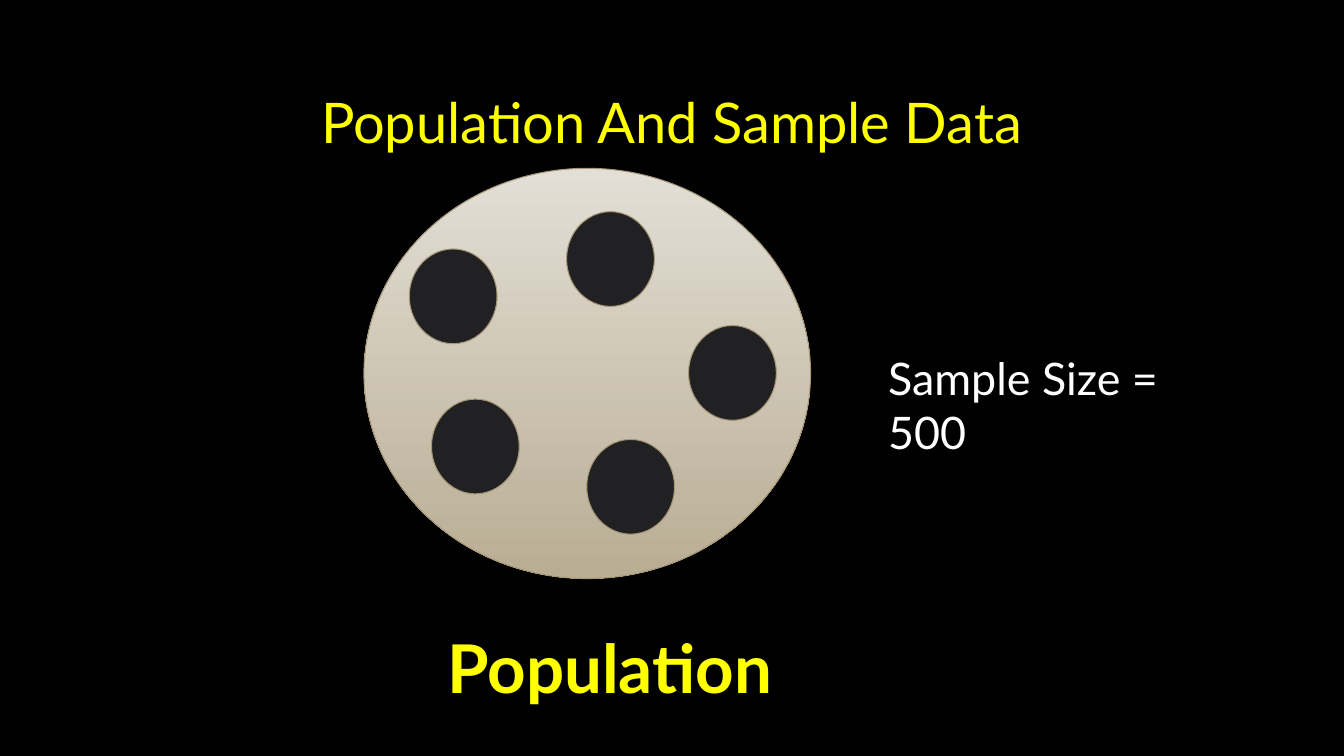
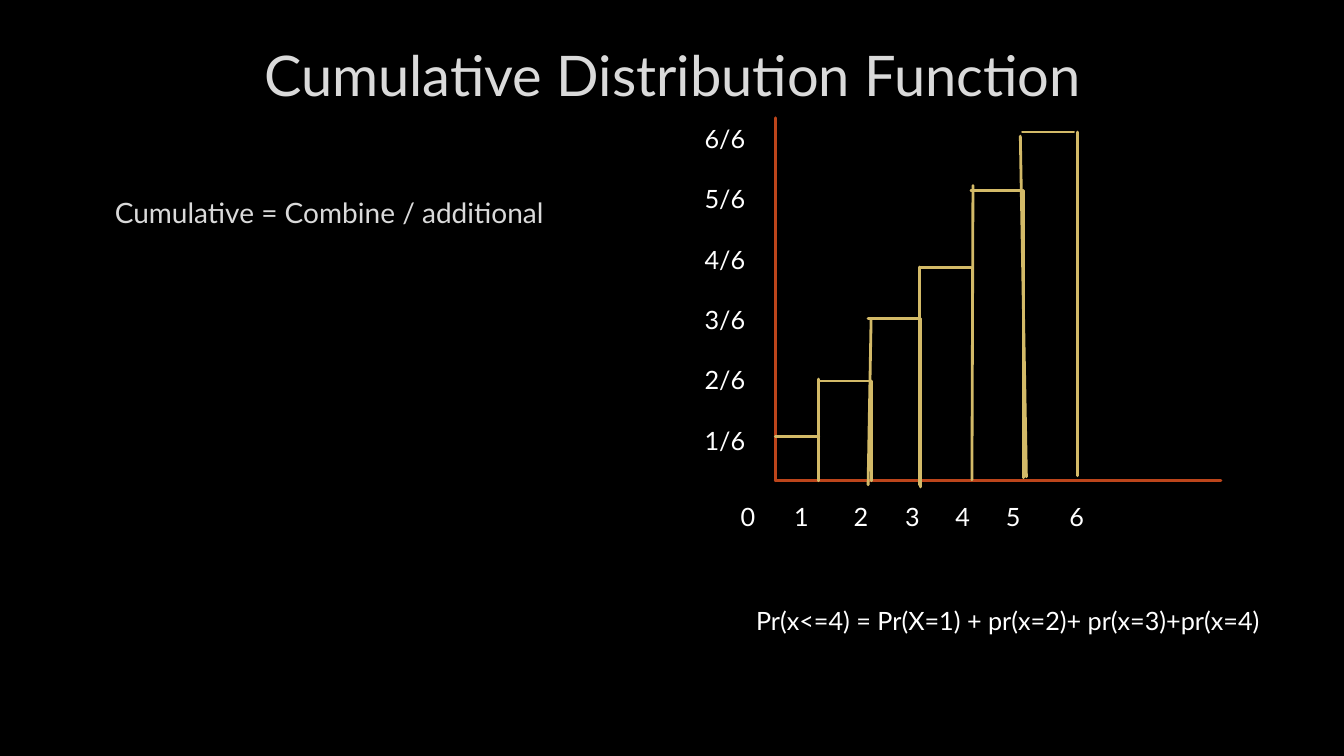
from dataclasses import dataclass
from typing import NamedTuple

from lxml.etree import SubElement
from pptx import Presentation
from pptx.dml.color import RGBColor
from pptx.enum.shapes import MSO_CONNECTOR, MSO_SHAPE
from pptx.enum.text import MSO_ANCHOR, PP_ALIGN
from pptx.oxml.ns import qn
from pptx.shapes.autoshape import Shape
from pptx.slide import Slide
from pptx.util import Emu, Inches, Pt

COLUMNS, ROWS = 13.33, 7.5
CELL = Inches(1)
FONT = "Lato"
COLORS = {
    "background": "000000",
    "yellow": "FFFF00",
    "white": "FFFFFF",
    "silver": "DADADA",
    "axis": "BC451B",
    "step": "D3BA68",
    "sand_light": "E3DFD6",
    "sand_dark": "B9AD94",
    "sand_line": "A59675",
    "dot": "212123",
}


class Box(NamedTuple):
    """Left and width in grid columns, top and height in grid rows."""
    left: float
    top: float
    width: float
    height: float


class Point(NamedTuple):
    column: float
    row: float


@dataclass(frozen=True)
class TextStyle:
    size: float
    color: str
    bold: bool = False
    alignment: PP_ALIGN = PP_ALIGN.LEFT
    anchor: MSO_ANCHOR = MSO_ANCHOR.TOP
    space_after: float = 0


@dataclass(frozen=True)
class Step:
    """One hand-drawn bar: its cap, the foot of its right side and its left side."""
    left: float
    right: float
    top: float
    fall: Point
    rise: tuple[Point, Point] | None = None


TITLE_SIZE = 40
LABEL = TextStyle(18, "white")
Y_LABEL = TextStyle(18, "white", space_after=21.6)

DOT_WIDTH, DOT_HEIGHT = 0.87, 0.94
DOTS = [Point(4.06, 2.47), Point(5.62, 2.1), Point(6.83, 3.23),
        Point(5.82, 4.36), Point(4.28, 3.96)]

ORIGIN = Point(7.69, 4.77)
AXIS_ENDS = [Point(7.69, 1.17), Point(12.11, 4.77)]
X_LABEL_STOPS = [0.19, 0.72, 1.31, 1.82, 2.32, 2.82, 3.45]
STEPS = [
    Step(7.69, 8.12, 4.33, Point(8.12, 4.77)),
    Step(8.12, 8.63, 3.78, Point(8.64, 4.77), (Point(8.12, 4.75), Point(8.12, 3.76))),
    Step(8.61, 9.12, 3.16, Point(9.13, 4.83), (Point(8.61, 4.81), Point(8.64, 3.16))),
    Step(9.12, 9.63, 2.65, Point(9.64, 4.74), (Point(9.12, 4.81), Point(9.12, 2.65))),
    Step(9.63, 10.14, 1.89, Point(10.15, 4.74), (Point(9.64, 4.76), Point(9.65, 1.84))),
    Step(10.14, 10.65, 1.31, Point(10.69, 4.72), (Point(10.18, 4.73), Point(10.12, 1.35))),
]


def cells(*lengths: float) -> list[Emu]:
    return [Emu(round(length * CELL)) for length in lengths]


def rgb(name: str) -> RGBColor:
    return RGBColor.from_string(COLORS[name])


def add_slide(presentation: Presentation) -> Slide:
    slide = presentation.slides.add_slide(presentation.slide_layouts[6])
    slide.background.fill.solid()
    slide.background.fill.fore_color.rgb = rgb("background")
    return slide


def add_text(slide: Slide, lines: list[str], box: Box, style: TextStyle) -> Shape:
    shape = slide.shapes.add_textbox(*cells(*box))
    frame = shape.text_frame
    frame.word_wrap = True
    frame.vertical_anchor = style.anchor
    font_values = {"name": FONT, "size": Pt(style.size), "bold": style.bold}
    for index, line in enumerate(lines):
        paragraph = frame.add_paragraph() if index else frame.paragraphs[0]
        paragraph.alignment = style.alignment
        paragraph.space_after = Pt(style.space_after)
        run = paragraph.add_run()
        run.text = line
        for attribute, value in font_values.items():
            setattr(run.font, attribute, value)
        run.font.color.rgb = rgb(style.color)
    return shape


def add_title(slide: Slide, text: str, left: float, top: float, color: str) -> None:
    style = TextStyle(TITLE_SIZE, color, alignment=PP_ALIGN.CENTER,
                      anchor=MSO_ANCHOR.MIDDLE)
    add_text(slide, [text], Box(left, top, 11.32, 1.06), style)


def add_ellipse(slide: Slide, box: Box, *fills: str) -> None:
    """Two fill colours make a gradient from top to bottom."""
    shape = slide.shapes.add_shape(MSO_SHAPE.OVAL, *cells(*box))
    shape.shadow.inherit = False
    shape.line.color.rgb = rgb("sand_line")
    shape.line.width = Pt(0.75)
    if len(fills) == 1:
        shape.fill.solid()
        shape.fill.fore_color.rgb = rgb(fills[0])
        return
    shape.fill.gradient()
    shape.fill.gradient_angle = 270
    for stop, name in zip(shape.fill.gradient_stops, fills):
        stop.color.rgb = rgb(name)


def add_line(slide: Slide, start: Point, end: Point, color: str) -> None:
    line = slide.shapes.add_connector(MSO_CONNECTOR.STRAIGHT, *cells(*start, *end))
    line.line.color.rgb = rgb(color)
    line.line.width = Pt(2)
    properties = line._element.spPr
    properties.find(qn("a:ln")).set("cap", "rnd")
    SubElement(properties, qn("a:effectLst"))


def add_tab_stops(shape: Shape, stops: list[float]) -> None:
    properties = shape.text_frame.paragraphs[0]._p.get_or_add_pPr()
    tab_list = SubElement(properties, qn("a:tabLst"))
    for position in cells(*stops):
        SubElement(tab_list, qn("a:tab"), pos=str(position), algn="ctr")


def add_step(slide: Slide, step: Step) -> None:
    add_line(slide, step.fall, Point(step.fall.column, step.top), "step")
    add_line(slide, Point(step.left, step.top), Point(step.right, step.top), "step")
    if step.rise:
        add_line(slide, *step.rise, "step")


def build_population_slide(presentation: Presentation) -> None:
    slide = add_slide(presentation)
    add_title(slide, "Population And Sample Data", 1, 0.67, "yellow")
    add_ellipse(slide, Box(3.61, 1.67, 4.43, 4.07), "sand_light", "sand_dark")
    for dot in DOTS:
        add_ellipse(slide, Box(*dot, DOT_WIDTH, DOT_HEIGHT), "dot")
    add_text(slide, ["Population"], Box(4.34, 6.16, 5.66, 0.91),
             TextStyle(48, "yellow", bold=True))
    add_text(slide, ["Sample Size = 500"], Box(8.71, 3.43, 3.5, 1.17),
             TextStyle(32, "white"))


def build_distribution_slide(presentation: Presentation) -> None:
    slide = add_slide(presentation)
    add_title(slide, "Cumulative Distribution Function", 1.01, 0.21, "silver")
    add_text(slide, ["Cumulative = Combine / additional"],
             Box(1.04, 1.89, 11.28, 4.44), TextStyle(20, "silver"))
    for axis_end in AXIS_ENDS:
        add_line(slide, axis_end, ORIGIN, "axis")
    x_labels = "".join(f"\t{number}" for number in range(len(X_LABEL_STOPS)))
    x_axis = add_text(slide, [x_labels], Box(7.13, 4.92, 5.19, 0.4), LABEL)
    add_tab_stops(x_axis, X_LABEL_STOPS)
    y_labels = [f"{count}/6" for count in range(6, 0, -1)]
    add_text(slide, y_labels, Box(6.89, 1.17, 0.69, 3.43), Y_LABEL)
    for step in STEPS:
        add_step(slide, step)
    add_text(slide, ["Pr(x<=4) = Pr(X=1) + pr(x=2)+ pr(x=3)+pr(x=4)"],
             Box(7.4, 5.96, 5.55, 0.4), LABEL)


def main() -> None:
    presentation = Presentation()
    presentation.slide_width, presentation.slide_height = cells(COLUMNS, ROWS)
    build_population_slide(presentation)
    build_distribution_slide(presentation)
    presentation.save("out.pptx")


if __name__ == "__main__":
    main()
